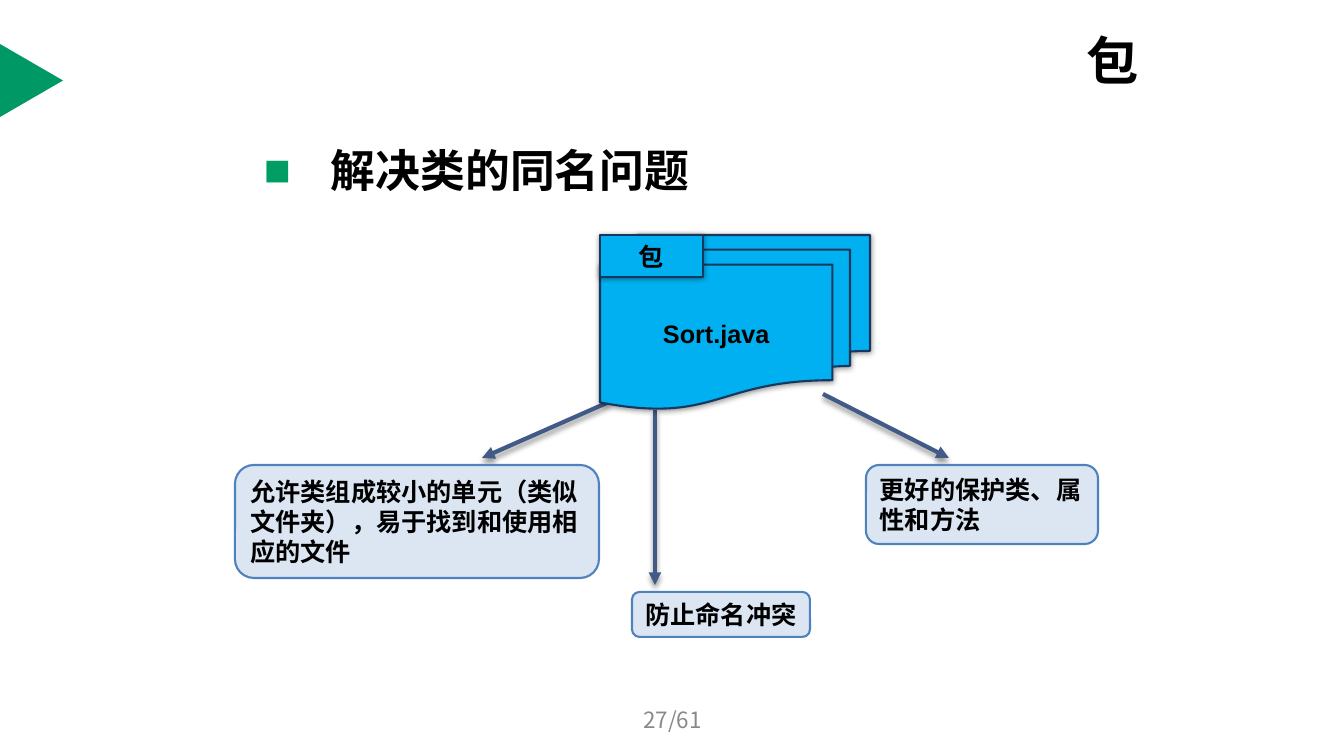
from dataclasses import dataclass
from lxml.etree import SubElement
from pptx import Presentation
from pptx.dml.color import RGBColor
from pptx.enum.shapes import MSO_CONNECTOR as Connector, MSO_SHAPE as Shape
from pptx.enum.text import MSO_ANCHOR as Anchor, PP_ALIGN as Align
from pptx.oxml.ns import qn
from pptx.util import Pt

SLIDE_BOX = (0, 0, 1344, 756)
EMU_PER_PIXEL = 914400 / 100.8


@dataclass(frozen=True)
class Theme:
    """Colours, fonts and sizes of the slide."""
    marker: str = "009966"
    bullet: str = "009E64"
    text: str = "000000"
    footer: str = "898989"
    arrow: str = "415A86"
    note_fill: str = "DCE6F2"
    note_line: str = "4F81BD"
    package_fill: str = "00B0F0"
    package_line: str = "17375E"
    font: str = "Noto Sans CJK SC"
    code_font: str = "Arial"
    title_size: float = 37.3
    heading_size: float = 32
    label_size: float = 18
    footer_size: float = 16
    heading_leading: float = 41
    note_leading: float = 21.5


THEME = Theme()


def px(*lengths):
    """Turn pixel lengths into EMU."""
    return [round(length * EMU_PER_PIXEL) for length in lengths]


def inside(box, left, top, width, height):
    """Place a part by its offset from the corner of a box."""
    return box[0] + left, box[1] + top, width, height


def add_element(parent, tag, **attributes):
    """Append an XML element with the given attributes."""
    return SubElement(parent, qn(tag), {name: str(value) for name, value in attributes.items()})


def add_shadow(shape, distance):
    """Give a shape a soft shadow straight below it."""
    properties = shape._element.spPr
    effects = properties.find(qn("a:effectLst"))
    if effects is None:
        effects = add_element(properties, "a:effectLst")
    shadow = add_element(effects, "a:outerShdw", blurRad=Pt(4), dist=Pt(distance),
                         dir=5400000, rotWithShape=0)
    color = add_element(shadow, "a:srgbClr", val="000000")
    add_element(color, "a:alpha", val=40000)


def write(shape, text, size, color=THEME.text, font=THEME.font, bold=True,
          align=Align.LEFT, anchor=Anchor.MIDDLE, wrap=False, leading=None):
    """Set and format the text of a shape."""
    frame = shape.text_frame
    frame.text = text
    frame.word_wrap = wrap
    frame.vertical_anchor = anchor
    for paragraph in frame.paragraphs:
        paragraph.alignment = align
        if leading:
            paragraph.line_spacing = Pt(leading)
        for run in paragraph.runs:
            run.font.size = Pt(size)
            run.font.bold = bold
            run.font.name = font
            run.font.color.rgb = RGBColor.from_string(color)
            add_element(run.font._element, "a:ea", typeface=THEME.font)


def add_text(slide, box, text, size, **style):
    """Add a text box and return it."""
    text_box = slide.shapes.add_textbox(*px(*box))
    write(text_box, text, size, **style)
    return text_box


def add_block(shapes, kind, box, fill, line=None):
    """Add a filled preset shape with an optional outline."""
    shape = shapes.add_shape(kind, *px(*box))
    shape.shadow.inherit = False
    shape.fill.solid()
    shape.fill.fore_color.rgb = RGBColor.from_string(fill)
    if line:
        shape.line.color.rgb = RGBColor.from_string(line)
        shape.line.width = Pt(1.5)
    else:
        shape.line.fill.background()
    return shape


def add_header(slide, box):
    """Draw the edge marker and the title."""
    marker = add_block(slide.shapes, Shape.ISOSCELES_TRIANGLE,
                       inside(box, -5, 49, 73, 63), THEME.marker)
    marker.rotation = 90
    add_text(slide, inside(box, 1077, 31, 80, 57), "包", THEME.title_size)


def add_heading(slide, box):
    """Write the bulleted heading."""
    heading = add_text(slide, box, "解决类的同名问题", THEME.heading_size, wrap=True,
                       anchor=Anchor.TOP, leading=THEME.heading_leading)
    properties = heading.text_frame.paragraphs[0]._p.get_or_add_pPr()
    indent = px(67)[0]
    properties.set("marL", str(indent))
    properties.set("indent", str(-indent))
    color = add_element(properties, "a:buClr")
    add_element(color, "a:srgbClr", val=THEME.bullet)
    add_element(properties, "a:buFont", typeface=THEME.code_font)
    add_element(properties, "a:buChar", char="■")


def add_arrow(slide, box, start, end):
    """Draw a shadowed arrow between two points of a box."""
    points = [box[axis] + point[axis] for point in (start, end) for axis in (0, 1)]
    arrow = slide.shapes.add_connector(Connector.STRAIGHT, *px(*points))
    arrow.line.color.rgb = RGBColor.from_string(THEME.arrow)
    arrow.line.width = Pt(3)
    add_element(arrow.line._get_or_add_ln(), "a:tailEnd", type="triangle")
    add_shadow(arrow, 3)


def add_package(slide, box):
    """Draw the stack of files with its package tab."""
    group = slide.shapes.add_group_shape()
    parts = (
        (Shape.FLOWCHART_MULTIDOCUMENT, box, "Sort.java"),
        (Shape.RECTANGLE, inside(box, 0, 0, 103, 42), "包"),
    )
    for kind, part_box, text in parts:
        part = add_block(group.shapes, kind, part_box, THEME.package_fill, THEME.package_line)
        add_shadow(part, 1)
        write(part, text, THEME.label_size, font=THEME.code_font, align=Align.CENTER)


def add_diagram(slide, box):
    """Draw the package and arrows to its three benefits."""
    benefits = (
        ((374, 167), (247, 223), (0, 230, 364, 113), Align.LEFT,
         "允许类组成较小的单元（类似\n文件夹），易于找到和使用相\n应的文件"),
        ((420, 175), (420, 350), (397, 357, 178, 45), Align.CENTER, "防止命名冲突"),
        ((588, 159), (714, 223), (631, 230, 232, 79), Align.LEFT,
         "更好的保护类、属\n性和方法"),
    )
    for start, end, note_box, align, text in benefits:
        add_arrow(slide, box, start, end)
        note = add_block(slide.shapes, Shape.ROUNDED_RECTANGLE, inside(box, *note_box),
                         THEME.note_fill, THEME.note_line)
        write(note, text, THEME.label_size, align=align, leading=THEME.note_leading)
    add_package(slide, inside(box, 365, 0, 270, 174))


def add_footer(slide, box):
    """Write the page count."""
    add_text(slide, box, "27/61", THEME.footer_size, color=THEME.footer,
             bold=False, align=Align.CENTER, wrap=True)


def main():
    """Build and save the slide."""
    presentation = Presentation()
    presentation.slide_width, presentation.slide_height = px(*SLIDE_BOX[2:])
    slide = presentation.slides.add_slide(presentation.slide_layouts[6])
    add_header(slide, SLIDE_BOX)
    add_heading(slide, (254, 134, 843, 567))
    add_diagram(slide, (235, 235, 863, 402))
    add_footer(slide, (460, 700, 425, 40))
    presentation.save("out.pptx")


main()
